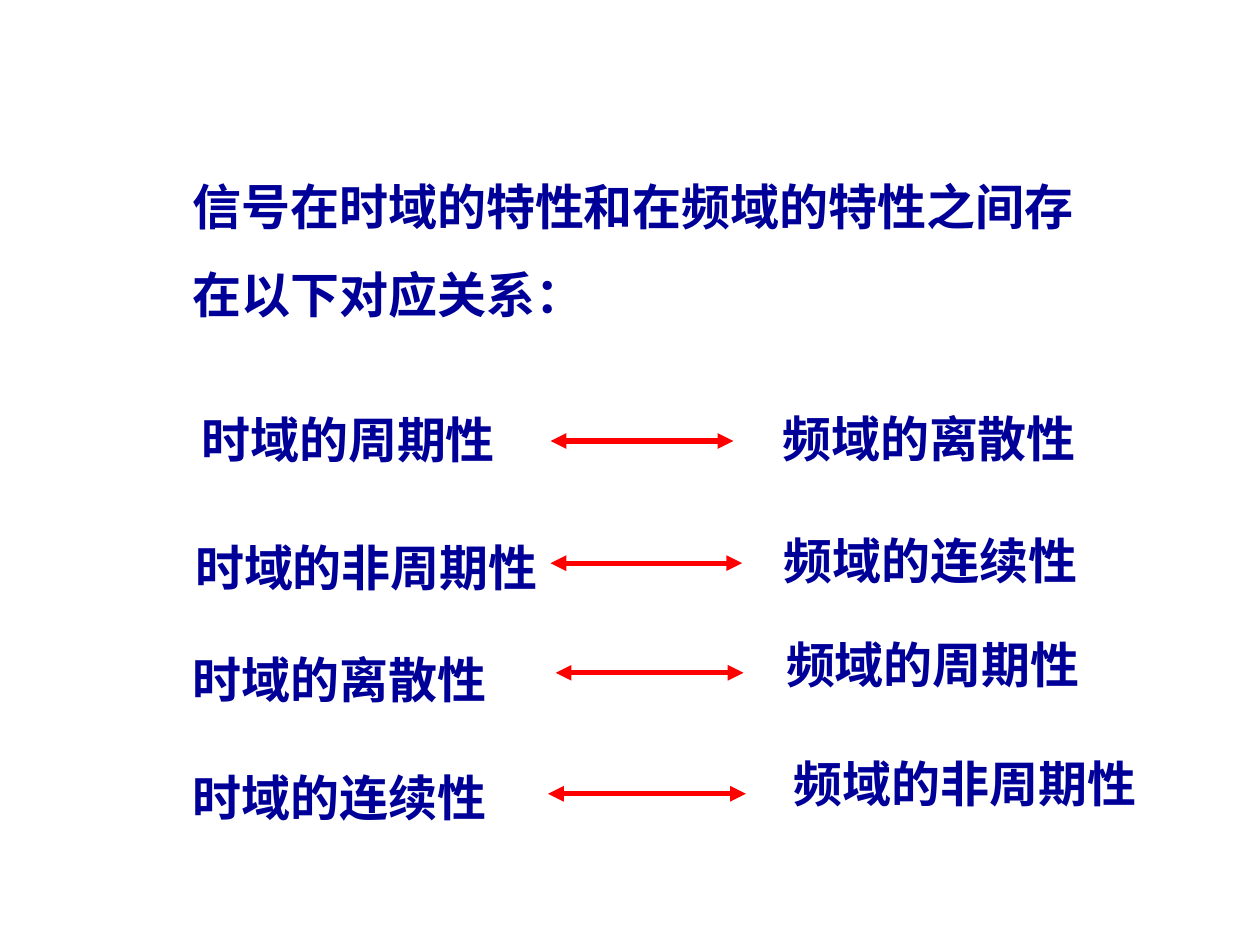
"""Build a slide pairing time-domain properties with frequency-domain ones."""
from lxml import etree
from pptx import Presentation
from pptx import util as u
from pptx.dml.color import RGBColor
from pptx.enum import shapes, text
from pptx.oxml.ns import qn

COLORS = {"text": "000099", "arrow": "FF0000"}
CJK = "Noto Sans CJK SC"
INTRO = ("信号在时域的特性和在频域的特性之间存在以下对应关系：", (1.43, 1.12, 7.39, 1.5))
# Each place is left, top, width; each arrow is start, end, height on the page.
PAIRS = [
    ("时域的周期性", (1.5, 2.97, 2.83), (4.37, 5.82, 3.5), "频域的离散性", (6.11, 3.19, 3.01)),
    ("时域的非周期性", (1.45, 3.98, 3.32), (4.37, 5.89, 4.47), "频域的连续性", (6.12, 4.16, 2.96)),
    ("时域的离散性", (1.43, 4.87, 3.03), (4.41, 5.9, 5.34), "频域的周期性", (6.14, 4.99, 3.05)),
    ("时域的连续性", (1.43, 5.81, 2.97), (4.35, 5.92, 6.3), "频域的非周期性", (6.2, 5.93, 3.35)),
]


def add_label(page, wording, place, font, spacing):
    box = page.shapes.add_textbox(*map(u.Inches, place))
    frame = box.text_frame
    frame.word_wrap = True
    frame.auto_size = text.MSO_AUTO_SIZE.SHAPE_TO_FIT_TEXT
    para = frame.paragraphs[0]
    para.line_spacing = spacing
    span = para.add_run()
    span.text = wording
    for name, value in {"name": font, "size": u.Pt(28), "bold": True}.items():
        setattr(span.font, name, value)
    span.font.color.rgb = RGBColor.from_string(COLORS["text"])
    etree.SubElement(span.font._element, qn("a:ea"), typeface=CJK)


def add_arrow(page, start, end, height):
    arrow = page.shapes.add_connector(
        shapes.MSO_CONNECTOR.STRAIGHT, *map(u.Inches, (start, height, end, height)))
    arrow.line.width = u.Pt(3)
    arrow.line.color.rgb = RGBColor.from_string(COLORS["arrow"])
    outline = arrow.line._get_or_add_ln()
    for tag in ("a:headEnd", "a:tailEnd"):
        etree.SubElement(outline, qn(tag), type="triangle")
    etree.SubElement(arrow._element.spPr, qn("a:effectLst"))


def main():
    deck = Presentation()
    deck.slide_width, deck.slide_height = u.Inches(10), u.Inches(7.5)
    page = deck.slides.add_slide(deck.slide_layouts[6])
    add_label(page, *INTRO, "Arial", 1.5)
    for time, time_place, arrow, frequency, frequency_place in PAIRS:
        add_label(page, time, (*time_place, 0.8), CJK, 1.5)
        add_arrow(page, *arrow)
        add_label(page, frequency, (*frequency_place, 0.57), "Arial", 1.0)
    deck.save("out.pptx")


if __name__ == "__main__":
    main()
